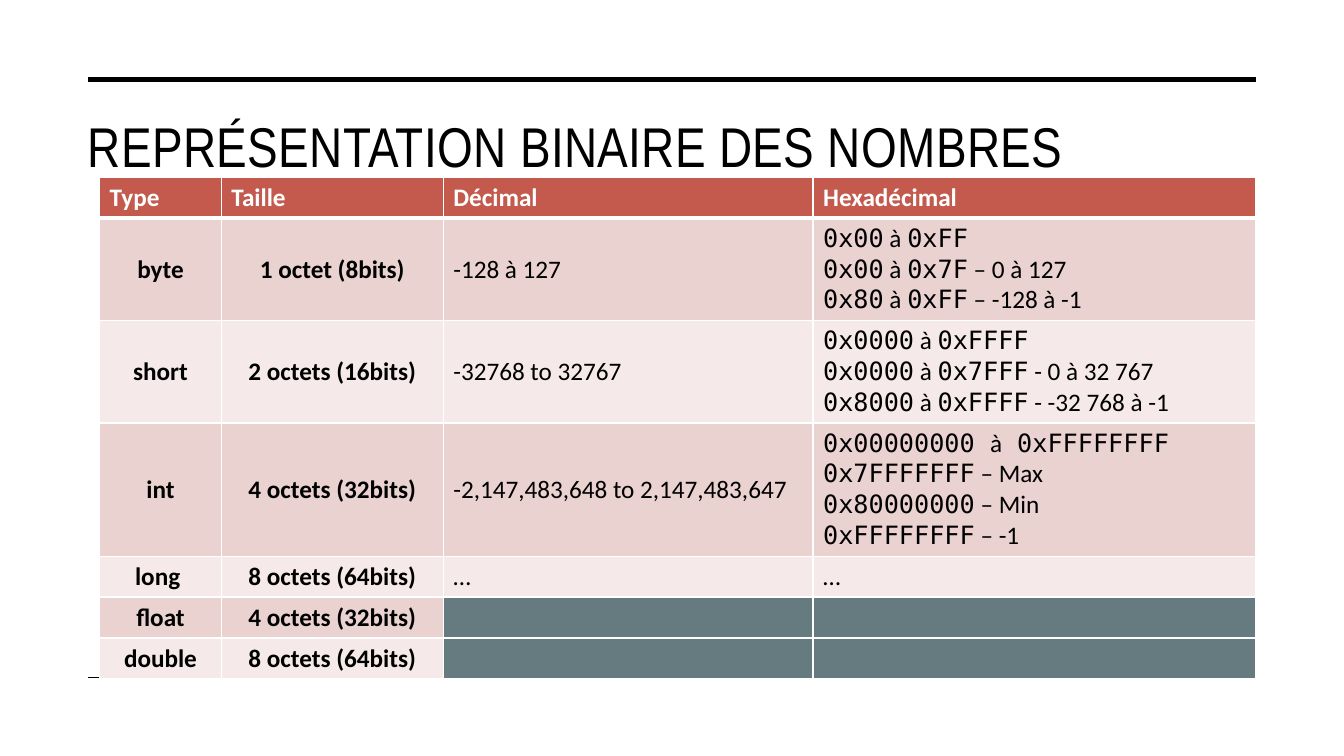
from lxml.etree import SubElement
from pptx import Presentation
from pptx.dml.color import RGBColor
from pptx.enum.text import MSO_ANCHOR, MSO_AUTO_SIZE, PP_ALIGN
from pptx.oxml.ns import qn
from pptx.util import Cm, Pt

COLORS = {"ink": "000000", "paper": "FFFFFF", "header": "C35A4D",
          "odd": "E9D2D0", "even": "F5EAE9", "empty": "657B80"}
BODY_FONT, CODE_FONT = "Calibri", "DejaVu Sans Mono"


def color(name):
    return RGBColor.from_string(COLORS[name])


def add_borders(cell, bottom_width):
    properties = cell._tc.get_or_add_tcPr()
    for side, width in (("L", 1), ("R", 1), ("T", 1), ("B", bottom_width)):
        border = SubElement(properties, qn(f"a:ln{side}"), w=str(Pt(width)))
        fill = SubElement(border, qn("a:solidFill"))
        SubElement(fill, qn("a:srgbClr"), val=COLORS["paper"])


presentation = Presentation()
presentation.slide_width, presentation.slide_height = Cm(33.87), Cm(19.05)
slide = presentation.slides.add_slide(presentation.slide_layouts[5])

# Rules above and below the content
for rule_y, rule_width in ((2.0, 3.5), (17.07, 1)):
    rule = slide.shapes.add_connector(1, Cm(2.23), Cm(rule_y), Cm(31.65), Cm(rule_y))
    rule.line.color.rgb = color("ink")
    rule.line.width = Pt(rule_width)
    SubElement(rule._element.spPr, qn("a:effectLst"))

# Title
title = slide.shapes.title
title.left, title.top, title.width, title.height = Cm(1.96), Cm(2.57), Cm(29.69), Cm(3.81)
title_frame = title.text_frame
title_frame.text = "REPRÉSENTATION BINAIRE DES NOMBRES"
title_frame.auto_size = MSO_AUTO_SIZE.NONE
title_frame.vertical_anchor = MSO_ANCHOR.TOP
title_frame.margin_top = Cm(0.25)
heading = title_frame.paragraphs[0]
heading.alignment = PP_ALIGN.LEFT
heading.font.name, heading.font.size = "Arial Narrow", Pt(40)
heading.font.color.rgb = color("ink")
heading.runs[0]._r.get_or_add_rPr().set("spc", "30")

# Number types: in the last column, code and plain text alternate around "|"
number_types = [
    ("Type", "Taille", "Décimal", "|Hexadécimal"),
    ("byte", "1 octet (8bits)", "-128 à 127",
     "0x00| à |0xFF\n0x00| à |0x7F| – 0 à 127\n0x80| à |0xFF| – -128 à -1"),
    ("short", "2 octets (16bits)", "-32768 to 32767",
     "0x0000| à |0xFFFF\n0x0000| à |0x7FFF| - 0 à 32 767\n0x8000| à |0xFFFF| - -32 768 à -1"),
    ("int", "4 octets (32bits)", "-2,147,483,648 to 2,147,483,647",
     "0x00000000 |à| 0xFFFFFFFF\n0x7FFFFFFF| – Max\n0x80000000| – Min\n0xFFFFFFFF| – -1"),
    ("long ", "8 octets (64bits)", "…", "|…"),
    ("float", "4 octets (32bits)", "", ""),
    ("double", "8 octets (64bits)", "", ""),
]
column_widths = (3.07, 5.59, 9.32, 11.15)
row_heights = (1.03, 2.58, 2.58, 3.35, 1.03, 1.03, 1.03)

table = slide.shapes.add_table(len(row_heights), len(column_widths), Cm(2.51), Cm(4.47),
                               Cm(sum(column_widths)), Cm(sum(row_heights))).table
for column, width in zip(table.columns, column_widths):
    column.width = Cm(width)
for row, height in zip(table.rows, row_heights):
    row.height = Cm(height)

for r, number_type in enumerate(number_types):
    for c, content in enumerate(number_type):
        is_header = r == 0
        cell = table.cell(r, c)
        add_borders(cell, 3 if is_header else 1)
        shade = "header" if is_header else "odd" if r % 2 else "even"
        cell.fill.solid()
        cell.fill.fore_color.rgb = color(shade if content else "empty")
        if not is_header:
            cell.vertical_anchor = MSO_ANCHOR.MIDDLE

        for i, line in enumerate(content.split("\n")):
            paragraph = cell.text_frame.paragraphs[0] if i == 0 else cell.text_frame.add_paragraph()
            paragraph.font.name, paragraph.font.size = BODY_FONT, Pt(18)
            paragraph.font.bold = is_header or c < 2
            paragraph.font.color.rgb = color("paper" if is_header else "ink")
            if c < 2 and not is_header:
                paragraph.alignment = PP_ALIGN.CENTER
            for part, text in enumerate(line.split("|")):
                if text:
                    run = paragraph.add_run()
                    run.text = text
                    if c == 3 and part % 2 == 0:
                        run.font.name = CODE_FONT

presentation.save("out.pptx")
